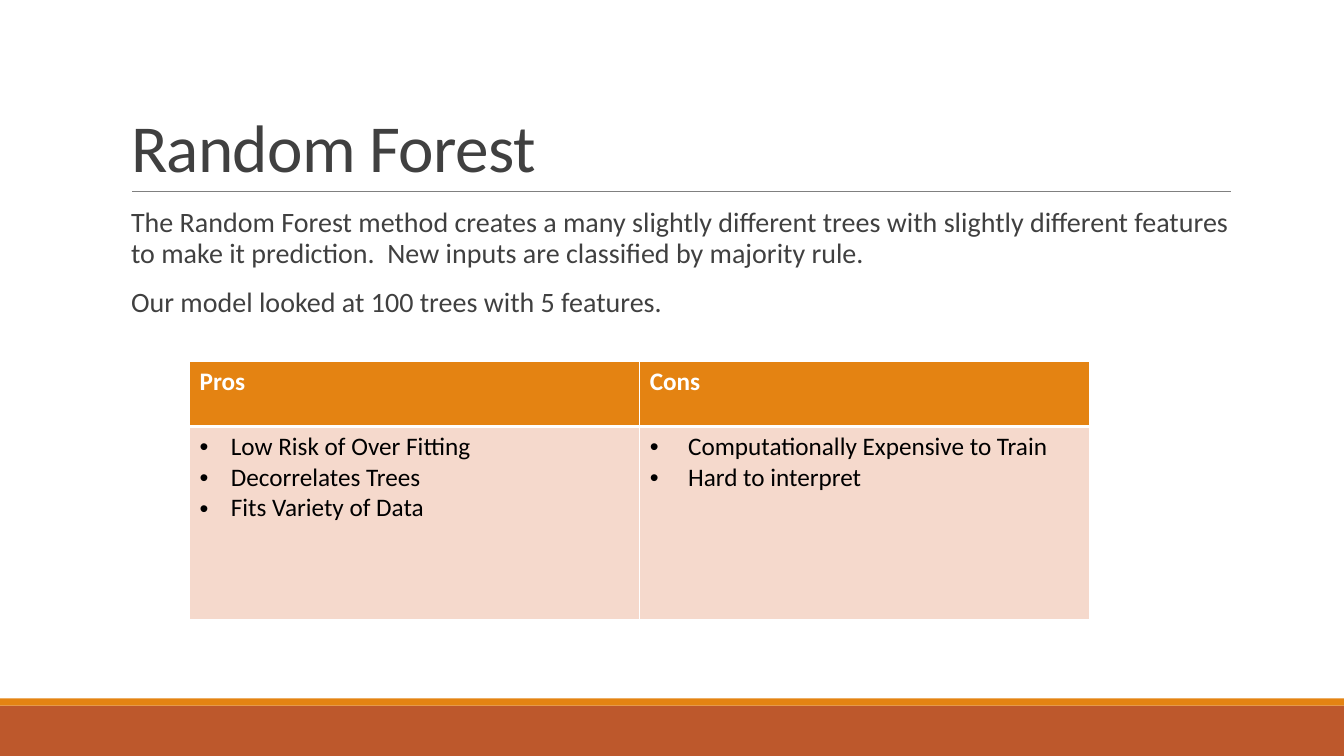
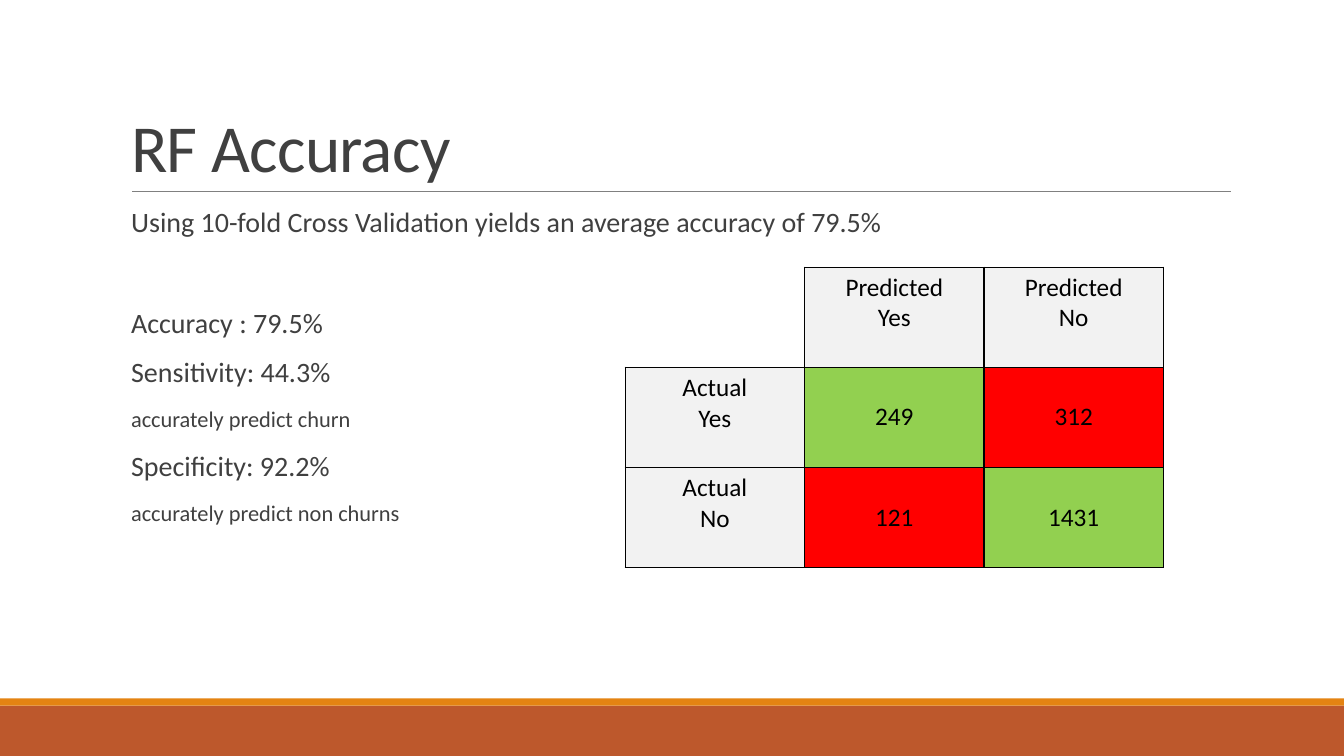
"""Build two slides on a random forest model: its trade-offs and its accuracy."""
from lxml.etree import SubElement
from pptx import Presentation
from pptx.dml.color import RGBColor
from pptx.enum.shapes import MSO_CONNECTOR, MSO_SHAPE
from pptx.enum.text import MSO_ANCHOR, MSO_AUTO_SIZE, PP_ALIGN
from pptx.oxml.ns import qn
from pptx.util import Inches, Pt

FONT = "Calibri"
RUST, ORANGE, PEACH = "BD582C", "E48312", "F5D9CC"
INK, RULE, BLACK, WHITE = "404040", "808080", "000000", "FFFFFF"
GREY, GREEN, RED = "F2F2F2", "92D050", "FF0000"


def rgb(code):
    return RGBColor.from_string(code)


def fill_cell(cell, text, fill, ink, edge, sides, bold=False):
    tc_pr = cell._tc.get_or_add_tcPr()
    for side, width in sides.items():
        ln = SubElement(tc_pr, qn(f"a:ln{side}"), w=str(Pt(width)))
        SubElement(SubElement(ln, qn("a:solidFill")), qn("a:srgbClr"), val=edge)
    if fill:
        cell.fill.solid()
        cell.fill.fore_color.rgb = rgb(fill)
    else:
        cell.fill.background()
    cell.text_frame.text = text
    for p in cell.text_frame.paragraphs:
        for r in p.runs:
            r.font.name, r.font.size, r.font.bold = FONT, Pt(18), bold
            r.font.color.rgb = rgb(ink)


prs = Presentation()
prs.slide_width, prs.slide_height = Inches(13.33), Inches(7.5)
W, H = prs.slide_width, prs.slide_height
LEFT, WIDTH = Inches(1.2), Inches(11)
RULE_Y = Inches(1.9)
BAND_TOP = H * 14 // 15
STRIPE = Inches(0.07)

pages = [
    ("Random Forest", [
        ("The Random Forest method creates a many slightly different trees with slightly "
         "different features to make it prediction.  New inputs are classified by majority rule.", 20, 12),
        ("Our model looked at 100 trees with 5 features.", 20, 12),
    ]),
    ("RF Accuracy", [
        ("Using 10-fold Cross Validation yields an average accuracy of 79.5%", 20, 12),
        ("Accuracy : 79.5%", 20, 48),
        ("Sensitivity: 44.3%", 20, 12),
        ("accurately predict churn", 16, 12),
        ("Specificity: 92.2%", 20, 12),
        ("accurately predict non churns", 16, 12),
    ]),
]

slides = []
for heading, lines in pages:
    s = prs.slides.add_slide(prs.slide_layouts[1])
    slides.append(s)

    for top, height, color in ((BAND_TOP, H - BAND_TOP, RUST), (BAND_TOP - STRIPE, STRIPE, ORANGE)):
        sp = s.shapes.add_shape(MSO_SHAPE.RECTANGLE, 0, top, W, height)
        sp.shadow.inherit = False
        sp.fill.solid()
        sp.fill.fore_color.rgb = rgb(color)
        sp.line.fill.background()

    ln = s.shapes.add_connector(MSO_CONNECTOR.STRAIGHT, Inches(1.31), RULE_Y, Inches(12.21), RULE_Y)
    ln.line.color.rgb = rgb(RULE)
    ln.line.width = Pt(0.5)
    SubElement(ln._element.spPr, qn("a:effectLst"))

    title, body = s.placeholders
    title.left, title.top, title.width, title.height = LEFT, Inches(0.31), WIDTH, Inches(1.59)
    tf = title.text_frame
    tf.text = heading
    tf.vertical_anchor, tf.auto_size = MSO_ANCHOR.BOTTOM, MSO_AUTO_SIZE.NONE
    p = tf.paragraphs[0]
    p.alignment, p.line_spacing = PP_ALIGN.LEFT, 0.85
    r = p.runs[0]
    r.font.name, r.font.size = FONT, Pt(48)
    r.font.color.rgb = rgb(INK)
    r.font._element.set("spc", "-50")

    body.left, body.top, body.width, body.height = LEFT, Inches(2.02), WIDTH, Inches(4.4)
    tf = body.text_frame
    tf.text = "\n".join(text for text, size, before in lines)
    tf.auto_size = MSO_AUTO_SIZE.NONE
    tf.margin_left = tf.margin_right = 0
    for p, (text, size, before) in zip(tf.paragraphs, lines):
        p.line_spacing, p.space_before, p.space_after = 0.9, Pt(before), Pt(2)
        p_pr = p._p.get_or_add_pPr()
        p_pr.set("marL", str(Inches(0.1)))
        p_pr.set("indent", "0")
        SubElement(p_pr, qn("a:buNone"))
        r = p.runs[0]
        r.font.name, r.font.size = FONT, Pt(size)
        r.font.color.rgb = rgb(INK)

columns = [
    ("Pros", "Low Risk of Over Fitting\nDecorrelates Trees\nFits Variety of Data", 0.31),
    ("Cons", "Computationally Expensive to Train\nHard to interpret", 0.38),
]
tbl = slides[0].shapes.add_table(2, 2, Inches(1.88), Inches(3.59), Inches(8.93), Inches(2.56)).table
tbl.horz_banding = False
tbl.rows[0].height, tbl.rows[1].height = Inches(0.64), Inches(1.92)
for c, (head, points, indent) in enumerate(columns):
    fill_cell(tbl.cell(0, c), head, ORANGE, WHITE, WHITE, {"L": 1, "R": 1, "T": 1, "B": 3}, True)
    cell = tbl.cell(1, c)
    fill_cell(cell, points, PEACH, BLACK, WHITE, {"L": 1, "R": 1, "T": 3, "B": 1})
    for p in cell.text_frame.paragraphs:
        p_pr = p._p.get_or_add_pPr()
        p_pr.set("marL", str(Inches(indent)))
        p_pr.set("indent", str(-Inches(indent)))
        SubElement(p_pr, qn("a:buFont"), typeface="Arial")
        SubElement(p_pr, qn("a:buChar"), char="•")

matrix = [
    [("", None), ("Predicted\nYes", GREY), ("Predicted\nNo", GREY)],
    [("Actual\nYes", GREY), ("249", GREEN), ("312", RED)],
    [("Actual\nNo", GREY), ("121", RED), ("1431", GREEN)],
]
tbl = slides[1].shapes.add_table(3, 3, Inches(6.2), Inches(2.65), Inches(5.34), Inches(2.98)).table
tbl.first_row = tbl.horz_banding = False
for i, row in enumerate(matrix):
    for j, (text, fill) in enumerate(row):
        cell = tbl.cell(i, j)
        sides = dict.fromkeys("LRTB" if text else "RB", 1)
        fill_cell(cell, text, fill, BLACK, BLACK, sides)
        if i and j:
            cell.vertical_anchor = MSO_ANCHOR.MIDDLE
        for p in cell.text_frame.paragraphs:
            p.alignment = PP_ALIGN.CENTER

prs.save("out.pptx")
